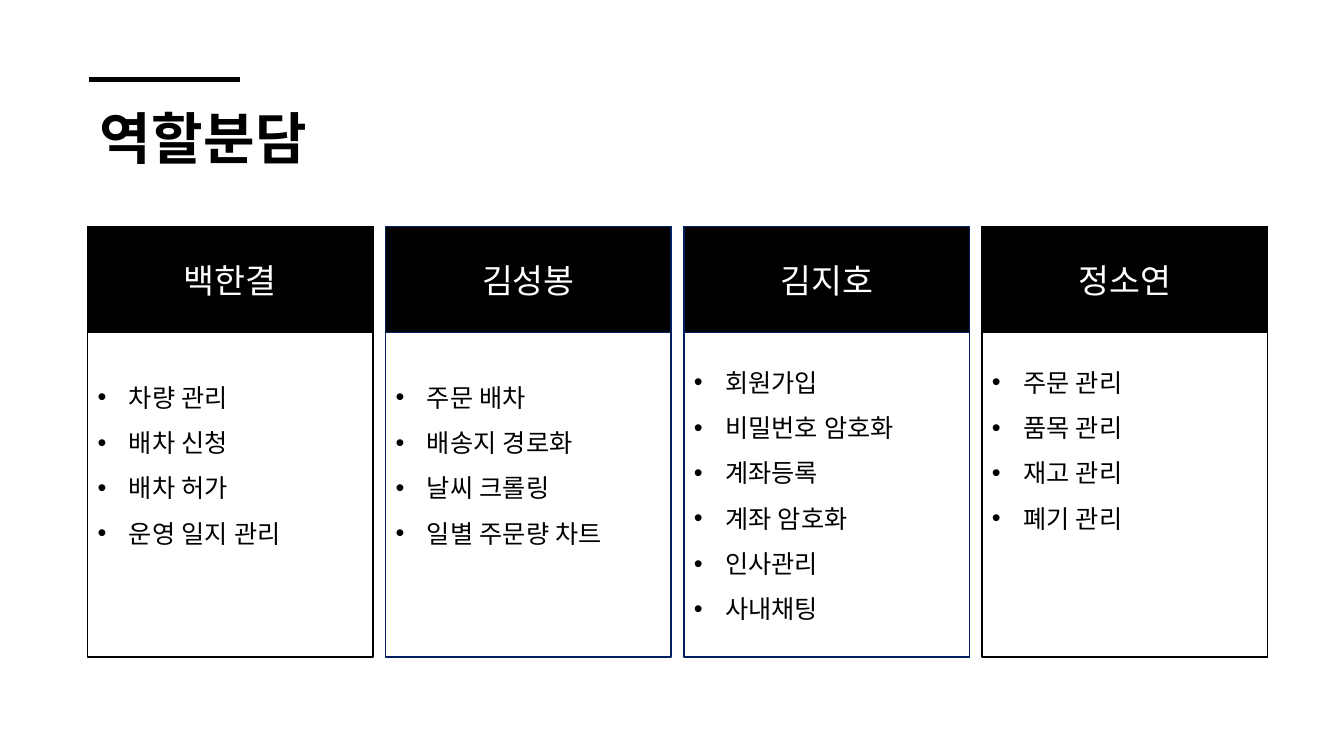
from lxml.etree import SubElement
from pptx import Presentation
from pptx.dml.color import RGBColor
from pptx.enum.shapes import MSO_CONNECTOR, MSO_SHAPE
from pptx.enum.text import MSO_ANCHOR, MSO_AUTO_SIZE, PP_ALIGN
from pptx.oxml.ns import qn
from pptx.util import Inches, Pt

FONT = "Lato"
BLACK, WHITE, NAVY = "000000", "FFFFFF", "002060"
LEFT, TOP = 0.87, 2.25
WIDTH, HEIGHT, HEAD = 2.83, 4.27, 1.05
LAST = 9.74  # left edge of the last column
HANG = Inches(0.31)

# name, outline, space above the list, tasks
ROLES = [
    ("백한결", BLACK, 1.39, ["차량 관리", "배차 신청", "배차 허가", "운영 일지 관리"]),
    ("김성봉", NAVY, 1.39, ["주문 배차", "배송지 경로화", "날씨 크롤링", "일별 주문량 차트"]),
    ("김지호", NAVY, 1.24, ["회원가입", "비밀번호 암호화", "계좌등록",
                         "계좌 암호화", "인사관리", "사내채팅"]),
    ("정소연", BLACK, 1.24, ["주문 관리", "품목 관리", "재고 관리", "폐기 관리"]),
]


def color(code):
    return RGBColor.from_string(code)


def write(par, text, size=18, ink=BLACK, bold=False, align=PP_ALIGN.LEFT, track=0):
    """Add one run; track is the letter spacing in points."""
    par.alignment = align
    run = par.add_run()
    run.text = text
    font = run.font
    font.name, font.size, font.bold = FONT, Pt(size), bold
    font.color.rgb = color(ink)
    props = font._element
    SubElement(props, qn("a:ea"), typeface=FONT)
    if track:
        props.set("spc", str(round(track * 100)))


def bullet(par):
    par.line_spacing = 1.5
    props = par._p.get_or_add_pPr()
    props.set("marL", str(HANG))
    props.set("indent", str(-HANG))
    SubElement(props, qn("a:buFont"), typeface="Arial")
    SubElement(props, qn("a:buChar"), char="•")


def box(group, left, height, edge, fill=None):
    rect = group.shapes.add_shape(MSO_SHAPE.RECTANGLE, Inches(left), Inches(TOP),
                                  Inches(WIDTH), Inches(height))
    rect.shadow.inherit = False
    if fill:
        rect.fill.solid()
        rect.fill.fore_color.rgb = color(fill)
    else:
        rect.fill.background()
    rect.line.color.rgb = color(edge)
    rect.line.width = Pt(1)
    return rect.text_frame


def card(slide, left, name, edge, space, tasks):
    group = slide.shapes.add_group_shape()
    body = box(group, left, HEIGHT, edge)
    body.vertical_anchor = MSO_ANCHOR.TOP
    body.margin_top = Inches(space)
    for i, task in enumerate(tasks):
        par = body.add_paragraph() if i else body.paragraphs[0]
        write(par, task)
        bullet(par)
    head = box(group, left, HEAD, edge, fill=BLACK)
    head.vertical_anchor = MSO_ANCHOR.MIDDLE
    write(head.paragraphs[0], name, size=24, ink=WHITE, align=PP_ALIGN.CENTER)


def heading(slide, text):
    title = slide.shapes.title
    title.left, title.top = Inches(0.75), Inches(0.98)
    title.width, title.height = Inches(3.36), Inches(4.28)
    frame = title.text_frame
    frame.word_wrap = True
    frame.auto_size = MSO_AUTO_SIZE.NONE
    frame.vertical_anchor = MSO_ANCHOR.TOP
    frame.margin_left = Inches(0.24)
    write(frame.paragraphs[0], text, size=40, bold=True, track=0.3)


def rule(slide, left, top, width):
    line = slide.shapes.add_connector(MSO_CONNECTOR.STRAIGHT, Inches(left), Inches(top),
                                      Inches(left + width), Inches(top))
    line.line.color.rgb = color(BLACK)
    line.line.width = Pt(3.5)
    SubElement(line._element.spPr, qn("a:effectLst"))


def main():
    deck = Presentation()
    deck.slide_width, deck.slide_height = Inches(13.33), Inches(7.5)
    slide = deck.slides.add_slide(deck.slide_layouts[5])
    heading(slide, "역할분담")
    rule(slide, 0.88, 0.79, 1.5)
    pitch = (LAST - LEFT) / (len(ROLES) - 1)
    for i, role in enumerate(ROLES):
        card(slide, LEFT + i * pitch, *role)
    deck.save("out.pptx")


if __name__ == "__main__":
    main()
